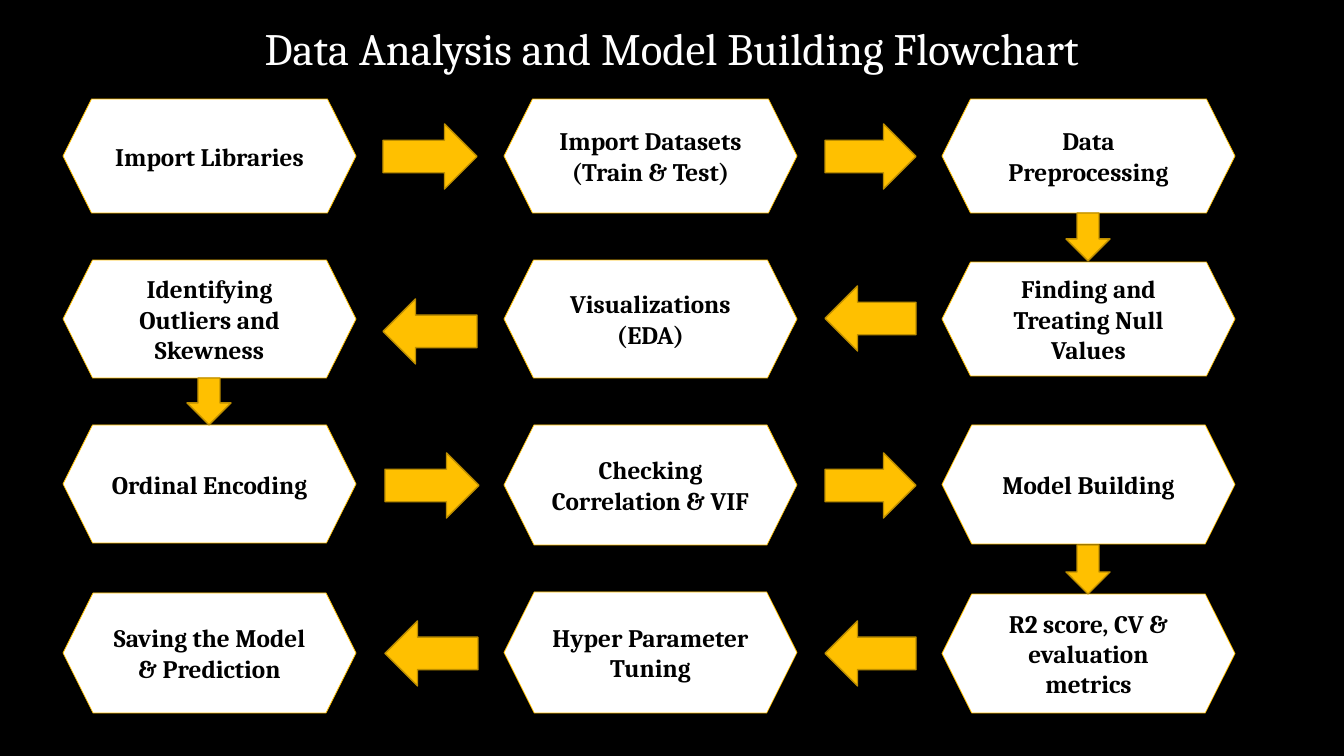
"""Build the data analysis and model building flowchart slide."""
from dataclasses import dataclass

from pptx import Presentation
from pptx.dml.color import RGBColor
from pptx.enum.shapes import MSO_SHAPE
from pptx.enum.text import MSO_ANCHOR, MSO_AUTO_SIZE, PP_ALIGN
from pptx.util import Pt

PX = 914400 / 100.8


@dataclass(frozen=True)
class Theme:
    black: RGBColor = RGBColor(0x00, 0x00, 0x00)
    white: RGBColor = RGBColor(0xFF, 0xFF, 0xFF)
    gold: RGBColor = RGBColor(0xFF, 0xC0, 0x00)
    dark_gold: RGBColor = RGBColor(0xBD, 0x8E, 0x00)
    font: str = "Cambria"
    title_size: int = 32
    step_size: int = 18


THEME = Theme()


def write(shape, text, *, size, color, bold=False, anchor=MSO_ANCHOR.MIDDLE):
    frame = shape.text_frame
    frame.text = text
    frame.word_wrap = True
    frame.auto_size = MSO_AUTO_SIZE.NONE
    frame.vertical_anchor = anchor
    for paragraph in frame.paragraphs:
        paragraph.alignment = PP_ALIGN.CENTER
        paragraph.font.name = THEME.font
        paragraph.font.size = Pt(size)
        paragraph.font.bold = bold
        paragraph.font.color.rgb = color


def add_block(slide, kind, box, *, fill, line, weight):
    block = slide.shapes.add_shape(kind, *(round(v * PX) for v in box))
    block.shadow.inherit = False
    block.fill.solid()
    block.fill.fore_color.rgb = fill
    block.line.color.rgb = line
    block.line.width = Pt(weight)
    return block


deck = Presentation()
deck.slide_width = round(1344 * PX)
deck.slide_height = round(756 * PX)
flowchart = deck.slides.add_slide(deck.slide_layouts[5])
flowchart.background.fill.solid()
flowchart.background.fill.fore_color.rgb = THEME.black

title = flowchart.shapes.title
title.left, title.top = 0, round(16 * PX)
title.width, title.height = deck.slide_width, round(65 * PX)
write(title, "Data Analysis and Model Building Flowchart",
      size=THEME.title_size, color=THEME.white, anchor=MSO_ANCHOR.TOP)

COLUMN_LEFTS = (63, 504, 942)
STEP_WIDTH = 293
STEP_ROWS = (
    (("Import Libraries", 99, 114),
     ("Import Datasets\n(Train & Test)", 99, 114),
     ("Data Preprocessing", 99, 114)),
    (("Identifying Outliers and Skewness", 260, 118),
     ("Visualizations\n(EDA)", 260, 118),
     ("Finding and Treating Null Values", 262, 114)),
    (("Ordinal Encoding", 425, 118),
     ("Checking Correlation & VIF", 425, 120),
     ("Model Building", 425, 119)),
    (("Saving the Model & Prediction", 593, 120),
     ("Hyper Parameter Tuning", 592, 121),
     ("R2 score, CV & evaluation metrics", 594, 119)),
)
for step_row in STEP_ROWS:
    for left, (label, top, height) in zip(COLUMN_LEFTS, step_row):
        step = add_block(flowchart, MSO_SHAPE.HEXAGON, (left, top, STEP_WIDTH, height),
                         fill=THEME.white, line=THEME.gold, weight=0.5)
        write(step, label, size=THEME.step_size, color=THEME.black, bold=True)

RIGHT, LEFT, DOWN = MSO_SHAPE.RIGHT_ARROW, MSO_SHAPE.LEFT_ARROW, MSO_SHAPE.DOWN_ARROW
ARROWS = (
    (RIGHT, (383, 124, 94, 65)),
    (RIGHT, (825, 124, 91, 65)),
    (DOWN, (1066, 213, 44, 48)),
    (LEFT, (825, 286, 91, 65)),
    (LEFT, (383, 299, 94, 65)),
    (DOWN, (187, 378, 44, 47)),
    (RIGHT, (385, 453, 94, 65)),
    (RIGHT, (825, 453, 91, 65)),
    (DOWN, (1066, 545, 44, 49)),
    (LEFT, (825, 621, 91, 65)),
    (LEFT, (385, 621, 93, 65)),
)
for direction, box in ARROWS:
    add_block(flowchart, direction, box, fill=THEME.gold, line=THEME.dark_gold, weight=1)

deck.save("out.pptx")
